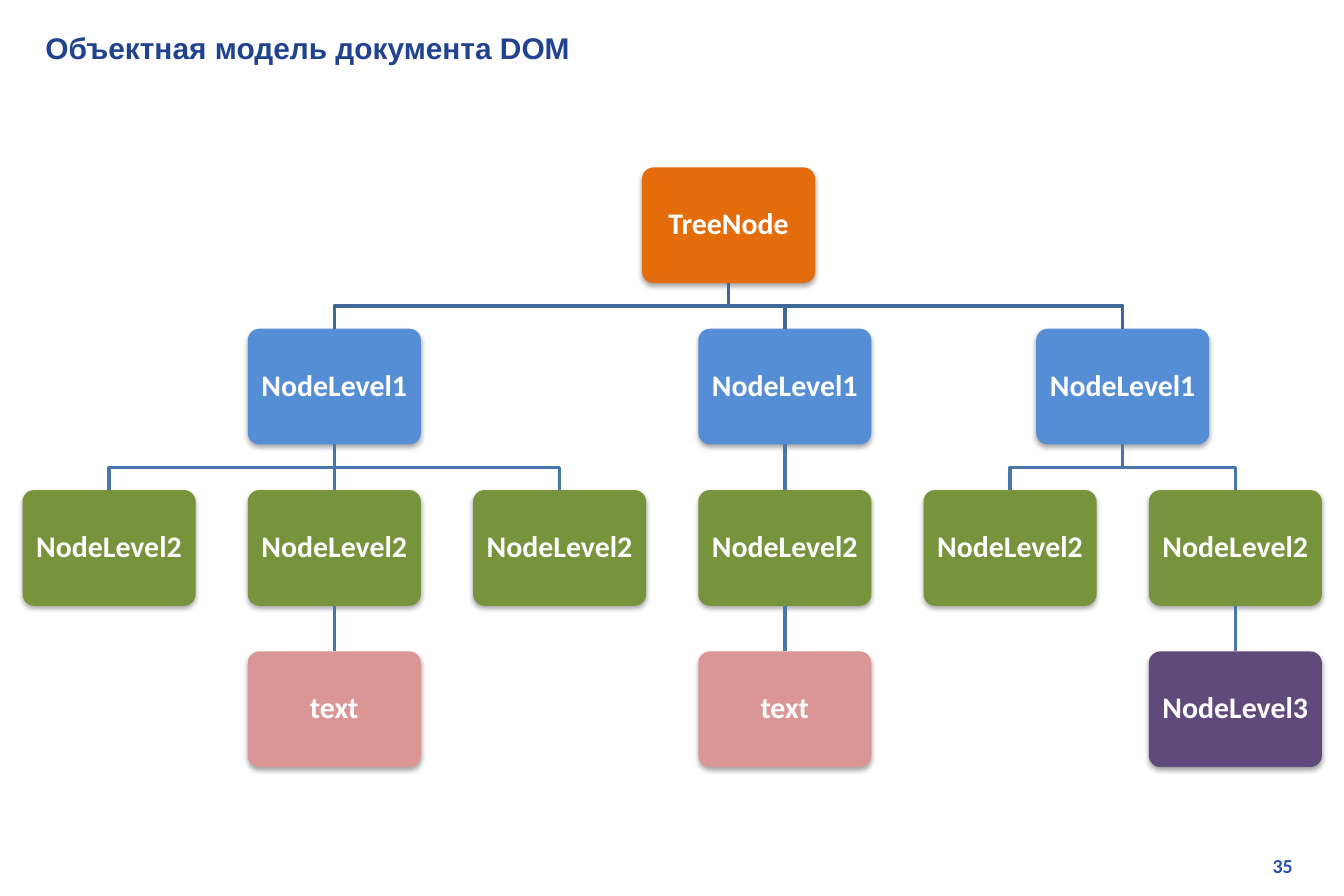
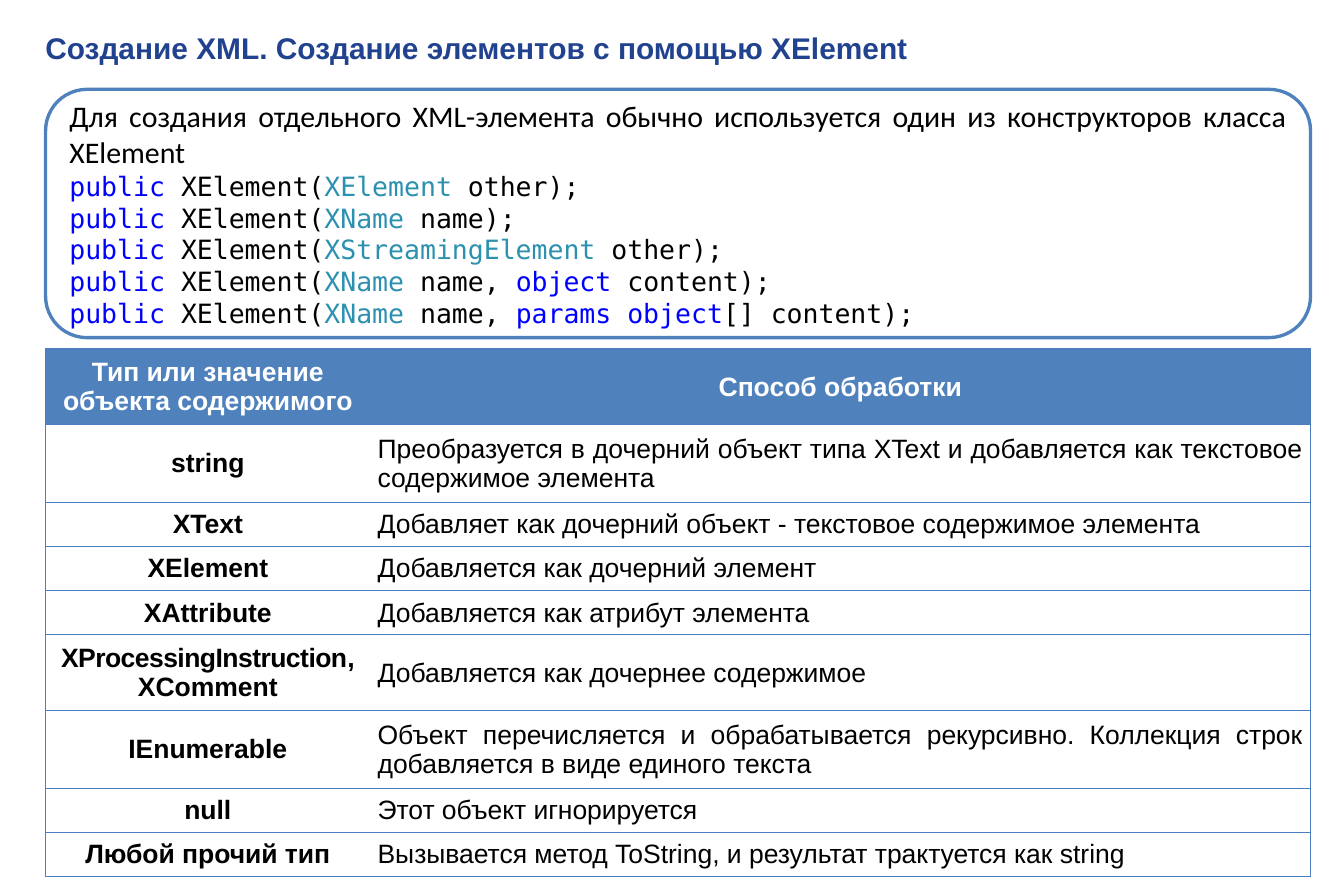
from itertools import count

from lxml.etree import SubElement
from pptx import Presentation
from pptx.dml.color import RGBColor
from pptx.enum.shapes import MSO_CONNECTOR, MSO_SHAPE
from pptx.enum.text import MSO_ANCHOR, MSO_AUTO_SIZE, PP_ALIGN
from pptx.oxml import parse_xml
from pptx.oxml.ns import nsdecls, qn
from pptx.util import Cm, Pt

COLORS = {
    "title": "21438F", "number": "2750AB", "white": "FFFFFF", "black": "000000",
    "accent": "4F81BD", "border": "4B7EBC", "keyword": "0000FF", "type": "2B91AF",
    "root_link": "3F6797", "link": "4875AC",
    "TreeNode": "E46C0A", "NodeLevel1": "558ED5", "NodeLevel2": "77933C",
    "NodeLevel3": "604A7B", "text": "D99694",
}

# Slide 1: each node is (label, children)
LEAF = ("NodeLevel2", [])
WITH_TEXT = ("NodeLevel2", [("text", [])])
TREE = ("TreeNode", [
    ("NodeLevel1", [LEAF, WITH_TEXT, LEAF]),
    ("NodeLevel1", [WITH_TEXT]),
    ("NodeLevel1", [LEAF, ("NodeLevel2", [("NodeLevel3", [])])]),
])
NODE_W, NODE_H = Cm(3.68), Cm(2.46)
TREE_LEFT, TREE_TOP = Cm(0.48), Cm(3.56)
COL_PITCH, ROW_PITCH = Cm(4.79), Cm(3.43)

# Slide 2
INTRO = ("Для создания отдельного XML-элемента обычно используется "
         "один из конструкторов класса XElement")
PARAMETERS = [
    [("XElement", "type"), (" other);", "black")],
    [("XName", "type"), (" name);", "black")],
    [("XStreamingElement", "type"), (" other);", "black")],
    [("XName", "type"), (" name, ", "black"), ("object", "keyword"),
     (" content);", "black")],
    [("XName", "type"), (" name, ", "black"), ("params object", "keyword"),
     ("[] content);", "black")],
]
# Row height in cm, content type, handling
ROWS = [
    (1.52, "Тип или значение объекта содержимого", "Способ обработки"),
    (1.65, "string", "Преобразуется в дочерний объект типа XText и добавляется "
                     "как текстовое содержимое элемента"),
    (0.89, "XText", "Добавляет как дочерний объект ‑ текстовое содержимое элемента"),
    (0.89, "XElement", "Добавляется как дочерний элемент"),
    (0.89, "XAttribute", "Добавляется как атрибут элемента"),
    (1.6, "XProcessingInstruction, XComment", "Добавляется как дочернее содержимое"),
    (1.65, "IEnumerable", "Объект перечисляется и обрабатывается рекурсивно. "
                          "Коллекция строк добавляется в виде единого текста"),
    (0.89, "null", "Этот объект игнорируется"),
    (0.89, "Любой прочий тип",
     "Вызывается метод ToString, и результат трактуется как string"),
]
COL_WIDTHS = [Cm(6.9), Cm(20)]
CONTENT_LEFT, CONTENT_W = Cm(0.97), sum(COL_WIDTHS)


def rgb(name):
    return RGBColor.from_string(COLORS[name])


def add_run(p, text, size, color, font="Calibri", bold=False):
    r = p.add_run()
    r.text = text
    r.font.size, r.font.name, r.font.bold = Pt(size), font, bold
    r.font.color.rgb = rgb(color)
    return r


def new_slide(prs, title, number):
    s = prs.slides.add_slide(prs.slide_layouts[5])
    sp = s.shapes.title
    sp.left, sp.top, sp.width, sp.height = Cm(0.71), Cm(0.51), Cm(27.28), Cm(1.02)
    tf = sp.text_frame
    tf.auto_size = MSO_AUTO_SIZE.NONE
    tf.vertical_anchor = MSO_ANCHOR.MIDDLE
    p = tf.paragraphs[0]
    p.alignment = PP_ALIGN.LEFT
    add_run(p, title, 18, "title", "Arial", True)

    tf = s.shapes.add_textbox(Cm(21.69), Cm(18.03), Cm(6.05), Cm(0.76)).text_frame
    tf.word_wrap = True
    p = tf.paragraphs[0]
    p.alignment = PP_ALIGN.RIGHT
    add_run(p, str(number), 12, "number", bold=True)
    return s


def add_round_box(s, left, top, width, height, fill):
    sp = s.shapes.add_shape(MSO_SHAPE.ROUNDED_RECTANGLE, left, top, width, height)
    sp.shadow.inherit = False
    sp.fill.solid()
    sp.fill.fore_color.rgb = rgb(fill)
    sp.text_frame.word_wrap = True
    sp.text_frame.vertical_anchor = MSO_ANCHOR.MIDDLE
    return sp


def add_node(s, label, center, top):
    sp = add_round_box(s, center - NODE_W // 2, top, NODE_W, NODE_H, label)
    sp.adjustments[0] = 0.1
    sp.line.fill.background()
    effects = sp._element.spPr.find(qn("a:effectLst"))
    effects.append(parse_xml(
        f'<a:outerShdw {nsdecls("a")} blurRad="40000" dist="23000" dir="5400000" '
        'rotWithShape="0"><a:srgbClr val="000000"><a:alpha val="35000"/>'
        '</a:srgbClr></a:outerShdw>'))
    tf = sp.text_frame
    tf.margin_left = tf.margin_right = Cm(0.18)
    p = tf.paragraphs[0]
    p.alignment = PP_ALIGN.CENTER
    p.line_spacing = 0.9
    add_run(p, label, 18, "white", bold=True)
    return sp


def add_link(s, parent, child, color):
    """Join parent to child: straight when aligned, otherwise with two bends."""
    x1, x2 = (n.left + n.width // 2 for n in (parent, child))
    y1, y2 = parent.top + parent.height, child.top
    if x1 == x2:
        link = s.shapes.add_connector(MSO_CONNECTOR.STRAIGHT, x1, y1, x2, y2)
        link.begin_connect(parent, 2)
        link.end_connect(child, 0)
    else:
        middle = (y1 + y2) // 2
        outline = s.shapes.build_freeform(x1, y1)
        outline.add_line_segments([(x1, middle), (x2, middle), (x2, y2)], close=False)
        link = outline.convert_to_shape()
        link.fill.background()
    link.line.color.rgb = rgb(color)
    link.line.width = Pt(2)
    SubElement(link._element.spPr, qn("a:effectLst"))


def draw_tree(s, node, slots, depth=0):
    """Draw a subtree; leaves take the next slot, parents centre on their children."""
    label, children = node
    shapes = [draw_tree(s, child, slots, depth + 1) for child in children]
    if shapes:
        left = (shapes[0].left + shapes[-1].left) // 2
    else:
        left = TREE_LEFT + next(slots) * COL_PITCH
    sp = add_node(s, label, left + NODE_W // 2, TREE_TOP + depth * ROW_PITCH)
    for child in shapes:
        add_link(s, sp, child, "link" if depth else "root_link")
    return sp


def add_constructors(s):
    sp = add_round_box(s, CONTENT_LEFT, Cm(1.9), CONTENT_W, Cm(5.28), "white")
    sp.line.color.rgb = rgb("accent")
    sp.line.width = Pt(2)
    tf = sp.text_frame
    p = tf.paragraphs[0]
    p.alignment = PP_ALIGN.JUSTIFY
    add_run(p, INTRO, 18, "black")
    for parameters in PARAMETERS:
        p = tf.add_paragraph()
        p.alignment = PP_ALIGN.LEFT
        for text, color in [("public ", "keyword"), ("XElement(", "black"), *parameters]:
            add_run(p, text, 16, color, "DejaVu Sans Mono")


def set_borders(cell, hidden_side):
    tcPr = cell._tc.get_or_add_tcPr()
    for side in "LRTB":
        ln = SubElement(tcPr, qn(f"a:ln{side}"), w=str(Pt(0.75)))
        if side == hidden_side:
            SubElement(ln, qn("a:noFill"))
        else:
            fill = SubElement(ln, qn("a:solidFill"))
            SubElement(fill, qn("a:srgbClr"), val=COLORS["border"])


def add_handling_table(s):
    heights = [Cm(row[0]) for row in ROWS]
    table = s.shapes.add_table(len(ROWS), len(COL_WIDTHS), CONTENT_LEFT, Cm(7.42),
                               CONTENT_W, sum(heights)).table
    table.first_row = table.horz_banding = False
    for col, width in zip(table.columns, COL_WIDTHS):
        col.width = width
    for i, (_, *texts) in enumerate(ROWS):
        table.rows[i].height = heights[i]
        for j, text in enumerate(texts):
            cell = table.cell(i, j)
            header, first = i == 0, j == 0
            set_borders(cell, "R" if first else "L")
            cell.fill.solid()
            cell.fill.fore_color.rgb = rgb("accent" if header else "white")
            cell.vertical_anchor = MSO_ANCHOR.MIDDLE
            cell.margin_left = cell.margin_right = Cm(0.16)
            cell.margin_top = cell.margin_bottom = Cm(0.13)
            p = cell.text_frame.paragraphs[0]
            p.alignment = PP_ALIGN.CENTER if header or first else PP_ALIGN.JUSTIFY
            color = "white" if header else "black"
            name, comma, rest = text.partition(", ") if first else (text, "", "")
            r = add_run(p, name, 16, color, "Arial", header or first)
            if rest:
                r.font._element.set("spc", "-30")
                add_run(p, comma + rest, 16, color, "Arial", True)


def main():
    prs = Presentation()
    prs.slide_width, prs.slide_height = Cm(28.58), Cm(19.05)
    s = new_slide(prs, "Объектная модель документа DOM", 35)
    draw_tree(s, TREE, count())
    s = new_slide(prs, "Создание XML. Создание элементов с помощью XElement", 61)
    add_constructors(s)
    add_handling_table(s)
    prs.save("out.pptx")


if __name__ == "__main__":
    main()
